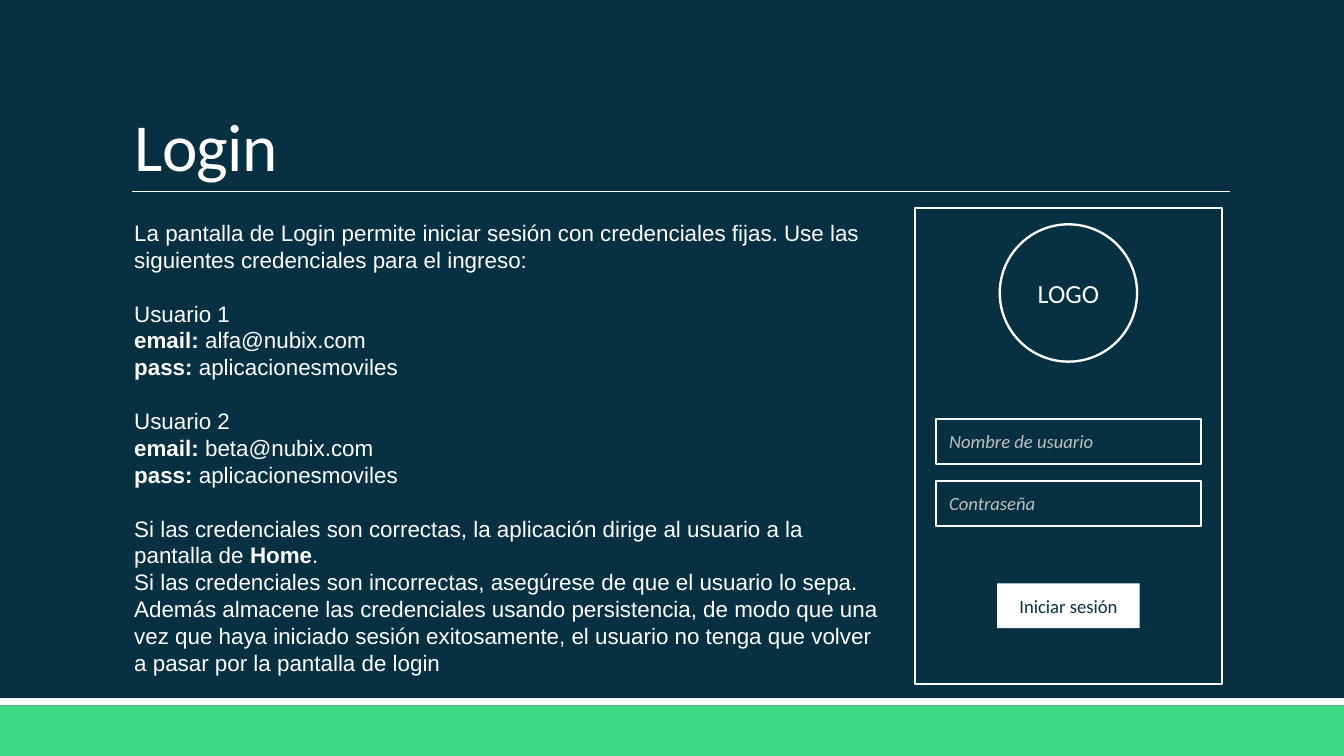
from pptx import Presentation
from pptx.dml.color import RGBColor
from pptx.enum.shapes import MSO_CONNECTOR, MSO_SHAPE
from pptx.enum.text import MSO_ANCHOR, MSO_AUTO_SIZE, PP_ALIGN
from pptx.oxml.ns import qn
from pptx.util import Pt
from lxml.etree import SubElement

NAVY, GREEN, WHITE, GREY = "073042", "3DDB85", "FFFFFF", "BFBFBF"
LINE_PITCH = 14.4
PASSWORD = "aplicacionesmoviles"
USERS = ["alfa@nubix.com", "beta@nubix.com"]
INTRO = ("La pantalla de Login permite iniciar sesión con credenciales fijas. "
         "Use las siguientes credenciales para el ingreso:")
FAILURE = "Si las credenciales son incorrectas, asegúrese de que el usuario lo sepa."
PERSISTENCE = ("Además almacene las credenciales usando persistencia, de modo que una vez "
               "que haya iniciado sesión exitosamente, el usuario no tenga que volver a "
               "pasar por la pantalla de login")


def color(hex_value):
    return RGBColor.from_string(hex_value)


def box(left, top, width, height):
    return Pt(left), Pt(top), Pt(width), Pt(height)


def add_run(paragraph, text, size, font="Calibri", ink=WHITE, bold=False, italic=False):
    run = paragraph.add_run()
    run.text = text
    run.font.size = Pt(size)
    run.font.name = font
    run.font.bold = bold
    run.font.italic = italic
    run.font.color.rgb = color(ink)
    return run


def add_panel(slide, kind, bounds, fill=None, outline=None):
    panel = slide.shapes.add_shape(kind, *box(*bounds))
    panel.shadow.inherit = False
    if fill:
        panel.fill.solid()
        panel.fill.fore_color.rgb = color(fill)
    else:
        panel.fill.background()
    if outline:
        panel.line.color.rgb = color(outline)
        panel.line.width = Pt(1.25)
    else:
        panel.line.fill.background()
    return panel


def label(panel, text, size, ink, align=PP_ALIGN.CENTER, italic=False):
    frame = panel.text_frame
    frame.vertical_anchor = MSO_ANCHOR.MIDDLE
    frame.paragraphs[0].alignment = align
    add_run(frame.paragraphs[0], text, size, ink=ink, italic=italic)


def add_title(slide, text):
    title = slide.shapes.title
    title.left, title.top, title.width, title.height = box(65, 17.3, 594, 85.7)
    title.text_frame.vertical_anchor = MSO_ANCHOR.BOTTOM
    paragraph = title.text_frame.paragraphs[0]
    paragraph.alignment = PP_ALIGN.LEFT
    paragraph.line_spacing = 0.85
    run = add_run(paragraph, text, 36)
    run.font._element.set("spc", "-40")


def add_rule(slide, left, right, top):
    rule = slide.shapes.add_connector(MSO_CONNECTOR.STRAIGHT, Pt(left), Pt(top), Pt(right), Pt(top))
    rule.line.color.rgb = color(WHITE)
    rule.line.width = Pt(0.5)
    SubElement(rule._element.spPr, qn("a:effectLst"))


def add_instructions(slide):
    """Paragraphs are (starts a block, runs); a run is (text, bold)."""
    paragraphs = [(False, [(INTRO, False)])]
    for number, email in enumerate(USERS, 1):
        paragraphs += [
            (True, [(f"Usuario {number}", False)]),
            (False, [("email: ", True), (email, False)]),
            (False, [("pass: ", True), (PASSWORD, False)]),
        ]
    success = "Si las credenciales son correctas, la aplicación dirige al usuario a la pantalla de "
    paragraphs += [
        (True, [(success, False), ("Home", True), (".", False)]),
        (False, [(FAILURE, False)]),
        (False, [(PERSISTENCE, False)]),
    ]
    frame = slide.shapes.add_textbox(*box(64.8, 113.8, 414, 254)).text_frame
    frame.word_wrap = True
    frame.auto_size = MSO_AUTO_SIZE.SHAPE_TO_FIT_TEXT
    for index, (starts_block, runs) in enumerate(paragraphs):
        paragraph = frame.add_paragraph() if index else frame.paragraphs[0]
        paragraph.line_spacing = Pt(LINE_PITCH)
        paragraph.space_before = Pt(LINE_PITCH if starts_block else 0)
        for text, bold in runs:
            add_run(paragraph, text, 12, "Arial", bold=bold)


def add_login_mockup(slide):
    screen_left, screen_width = 490.3, 164.2

    def centred(top, width, height):
        return screen_left + (screen_width - width) / 2, top, width, height

    add_panel(slide, MSO_SHAPE.RECTANGLE, centred(111.6, screen_width, 255), outline=WHITE)
    logo = add_panel(slide, MSO_SHAPE.OVAL, centred(120.2, 73.6, 73.6), outline=WHITE)
    label(logo, "LOGO", 14, WHITE)
    for row, hint in enumerate(["Nombre de usuario", "Contraseña"]):
        field = add_panel(slide, MSO_SHAPE.RECTANGLE, centred(224.5 + row * 33.2, 142, 24),
                          outline=WHITE)
        label(field, hint, 10, GREY, PP_ALIGN.LEFT, italic=True)
    button = add_panel(slide, MSO_SHAPE.RECTANGLE, centred(312.5, 76.4, 24), fill=WHITE)
    label(button, "Iniciar sesión", 10, NAVY)


def main():
    deck = Presentation()
    deck.slide_width, deck.slide_height = Pt(720), Pt(405)
    slide = deck.slides.add_slide(deck.slide_layouts[5])
    slide.background.fill.solid()
    slide.background.fill.fore_color.rgb = color(NAVY)
    add_panel(slide, MSO_SHAPE.RECTANGLE, (0, 378, 720, 27), fill=GREEN)
    add_panel(slide, MSO_SHAPE.RECTANGLE, (0, 374.1, 720, 3.9), fill=WHITE)
    add_rule(slide, 70.7, 659, 102.7)
    add_title(slide, "Login")
    add_instructions(slide)
    add_login_mockup(slide)
    deck.save("out.pptx")


if __name__ == "__main__":
    main()
